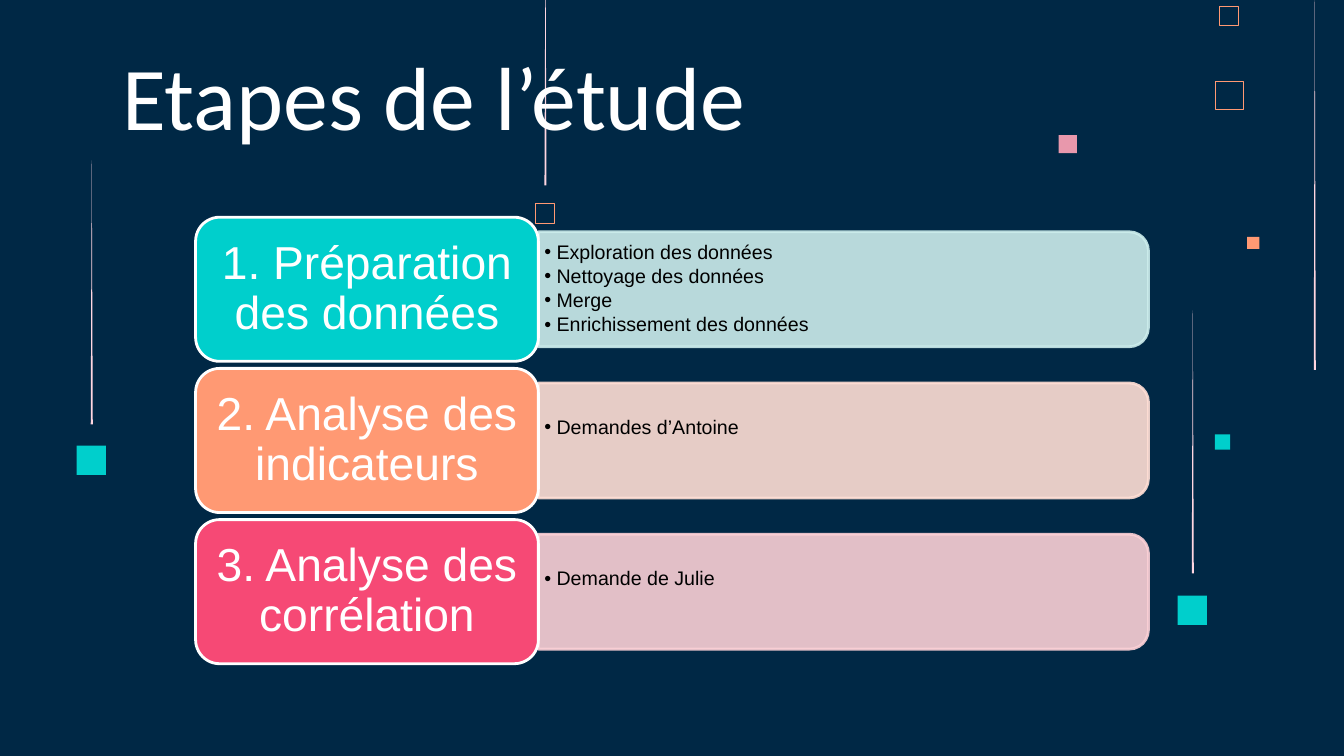
from lxml.etree import SubElement
from pptx import Presentation
from pptx.dml.color import RGBColor
from pptx.enum.shapes import MSO_SHAPE
from pptx.enum.text import MSO_ANCHOR, PP_ALIGN
from pptx.oxml.ns import qn
from pptx.util import Inches, Pt

# Content
TITLE = "Etapes de l’étude"
STEPS = [
    ("1. Préparation des données", "teal", "mint",
     ["Exploration des données", "Nettoyage des données", "Merge",
      "Enrichissement des données"]),
    ("2. Analyse des indicateurs", "coral", "peach", ["Demandes d’Antoine"]),
    ("3. Analyse des corrélation", "rose", "blush", ["Demande de Julie"]),
]
COLORS = {
    "navy": "002845", "white": "FFFFFF", "black": "000000", "teal": "00CFCC",
    "coral": "FF9973", "rose": "F64975", "mint": "CCEDEC", "peach": "FFDED5",
    "blush": "FBD0D6", "pink": "E898AC", "pale": "FFD6E1",
}
# Decoration: left, top, side, colour
SOLID = [(10.5, 1.34, 0.18, "pink"), (12.05, 4.31, 0.15, "teal"),
         (12.37, 2.35, 0.12, "coral"), (11.68, 5.91, 0.29, "teal"),
         (0.76, 4.42, 0.29, "teal")]
# left, top, side, line width
HOLLOW = [(12.05, 0.81, 0.28, 0.45), (12.09, 0.06, 0.19, 0.32),
          (5.31, 2.02, 0.19, 0.32)]
# left, top, bottom
RAYS = [(5.4, -0.64, 1.84), (13.03, 0, 3.67), (11.82, 3.08, 5.69),
        (0.9, 1.59, 4.21)]


def rgb(name):
    return RGBColor.from_string(COLORS[name])


def paint(shape, fill=None, line=None, width=1):
    shape.shadow.inherit = False
    if fill:
        shape.fill.solid()
        shape.fill.fore_color.rgb = rgb(fill)
    else:
        shape.fill.background()
    if line:
        shape.line.color.rgb = rgb(line)
        shape.line.width = Pt(width)
    else:
        shape.line.fill.background()


def fade(shape, percent):
    for color in shape._element.spPr.iter(qn("a:srgbClr")):
        SubElement(color, qn("a:alpha"), val=str(percent * 1000))


def setup(frame, side, top, bottom=None):
    frame.word_wrap = True
    frame.vertical_anchor = MSO_ANCHOR.MIDDLE
    frame.margin_left = frame.margin_right = Inches(side)
    frame.margin_top = Inches(top)
    frame.margin_bottom = Inches(top if bottom is None else bottom)


def style(para, text, size, color, font="Arial"):
    para.text = text
    para.font.size = Pt(size)
    para.font.name = font
    para.font.color.rgb = rgb(color)


def bullet(para):
    props = para._p.get_or_add_pPr()
    props.set("marL", str(Inches(0.12)))
    props.set("indent", str(Inches(-0.12)))
    mark = [SubElement(props, qn("a:buFont"), typeface="Arial"),
            SubElement(props, qn("a:buChar"), char="•")]
    # Bullet settings come before the default run properties
    for tag in mark:
        props.find(qn("a:defRPr")).addprevious(tag)


deck = Presentation()
deck.slide_width, deck.slide_height = Inches(13.33), Inches(7.5)
slide = deck.slides.add_slide(deck.slide_layouts[6])
slide.background.fill.solid()
slide.background.fill.fore_color.rgb = rgb("navy")
shapes = slide.shapes


def add(kind, left, top, width, height):
    return shapes.add_shape(kind, Inches(left), Inches(top),
                            Inches(width), Inches(height))


# Squares and tapering rays
for left, top, side, color in SOLID:
    paint(add(MSO_SHAPE.RECTANGLE, left, top, side, side), color)
for left, top, side, width in HOLLOW:
    paint(add(MSO_SHAPE.RECTANGLE, left, top, side, side), None, "coral", width)
for left, top, end in RAYS:
    pen = shapes.build_freeform(Inches(left + 0.01), Inches(top), 1.0)
    pen.add_line_segments([(Inches(left), Inches(end)),
                           (Inches(left + 0.02), Inches(end))])
    paint(pen.convert_to_shape(), "pale")

# Steps: a panel turned on its side, its bullets, and a tab
TAB_X, TAB_W, TAB_H = 1.94, 3.4, 1.43
BAR_W, BAR_H, BOX_W, BOX_H = 6.05, 1.14, 5.99, 1.03
FIRST, PITCH = 2.87, 1.5
edge = TAB_X + TAB_W
for i, (name, dark, light, items) in enumerate(STEPS):
    mid = FIRST + i * PITCH
    bar = add(MSO_SHAPE.ROUND_2_SAME_RECTANGLE, edge + (BAR_W - BAR_H) / 2,
              mid - BAR_W / 2, BAR_H, BAR_W)
    bar.rotation = 90
    paint(bar, light, light, 2)
    fade(bar, 90)

    box = shapes.add_textbox(Inches(edge), Inches(mid - BOX_H / 2),
                             Inches(BOX_W), Inches(BOX_H))
    frame = box.text_frame
    setup(frame, 0.06, 0.03, 0.27 if len(items) == 1 else 0.03)
    for j, item in enumerate(items):
        para = frame.add_paragraph() if j else frame.paragraphs[0]
        style(para, item, 14, "black")
        para.line_spacing = 0.9
        para.space_after = Pt(2.1)
        bullet(para)

    tab = add(MSO_SHAPE.ROUNDED_RECTANGLE, TAB_X, mid - TAB_H / 2, TAB_W, TAB_H)
    paint(tab, dark, "white", 2)
    setup(tab.text_frame, 0.08, 0.07)
    para = tab.text_frame.paragraphs[0]
    style(para, name, 33, "white")
    para.alignment = PP_ALIGN.CENTER
    para.line_spacing = 0.9

# Title
head = shapes.add_textbox(Inches(0.92), Inches(0.33), Inches(6.76), Inches(1.22))
setup(head.text_frame, 0.1, 0.1)
para = head.text_frame.paragraphs[0]
style(para, TITLE, 64, "white", "Calibri")
para.alignment = PP_ALIGN.CENTER

deck.save("out.pptx")
